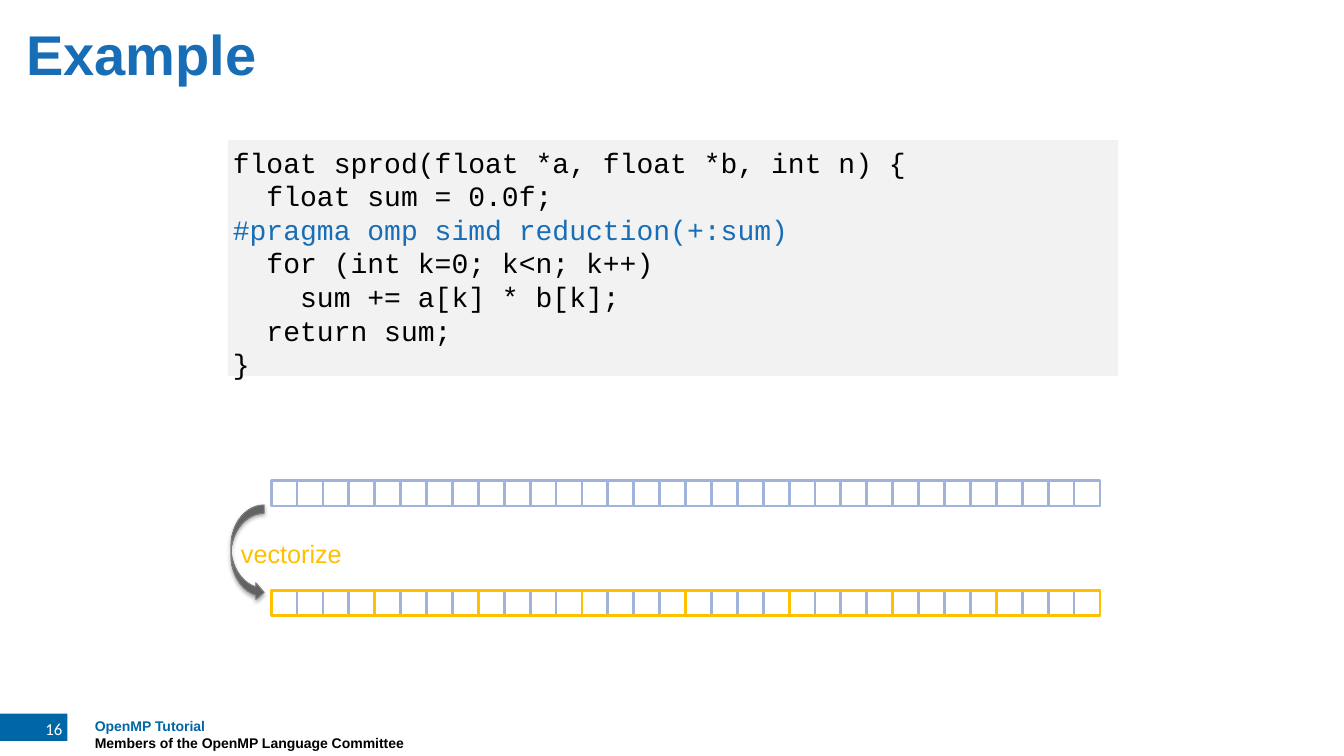
from lxml.etree import SubElement
from pptx import Presentation
from pptx.dml.color import RGBColor
from pptx.enum.shapes import MSO_SHAPE
from pptx.enum.text import MSO_ANCHOR, PP_ALIGN
from pptx.oxml.ns import qn
from pptx.util import Inches, Pt

WHITE = RGBColor(0xFF, 0xFF, 0xFF)
BLACK = RGBColor(0x00, 0x00, 0x00)
TITLE_BLUE = RGBColor(0x17, 0x6D, 0xB6)
FOOTER_BLUE = RGBColor(0x00, 0x67, 0xA6)
CODE_GRAY = RGBColor(0xF2, 0xF2, 0xF2)
CELL_BLUE = RGBColor(0xA1, 0xB3, 0xD9)
GOLD = RGBColor(0xFF, 0xC0, 0x00)
ARROW_DARK = RGBColor(0x5E, 0x5E, 0x5E)
ARROW_LIGHT = RGBColor(0x7C, 0x7C, 0x7C)
ARROW_LINE = RGBColor(0x7D, 0x7D, 0x7D)

CODE = [
    ("float sprod(float *a, float *b, int n) {", BLACK),
    ("  float sum = 0.0f;", BLACK),
    ("#pragma omp simd reduction(+:sum)", TITLE_BLUE),
    ("  for (int k=0; k<n; k++)", BLACK),
    ("    sum += a[k] * b[k];", BLACK),
    ("  return sum;", BLACK),
    ("}", BLACK),
]
FOOTER = [("OpenMP Tutorial", FOOTER_BLUE),
          ("Members of the OpenMP Language Committee", BLACK)]

ARRAY_LEFT, ARRAY_WIDTH, CELL_HEIGHT = 2.69, 8.22, 0.25
CELL_COUNT, VECTOR_COUNT = 32, 8
SCALAR_TOP, VECTOR_TOP = 4.77, 5.86


def write_lines(shape, lines, font_name, size, bold=False, inset=0.05,
                align=PP_ALIGN.LEFT, anchor=MSO_ANCHOR.TOP, wrap=True):
    """Fill a shape with one paragraph per (text, colour) pair."""
    frame = shape.text_frame
    frame.word_wrap = wrap
    frame.vertical_anchor = anchor
    frame.margin_left = frame.margin_right = Inches(inset)
    frame.margin_top = frame.margin_bottom = Inches(inset)
    for index, (text, color) in enumerate(lines):
        paragraph = frame.add_paragraph() if index else frame.paragraphs[0]
        paragraph.text = text
        paragraph.alignment = align
        paragraph.font.name = font_name
        paragraph.font.size = Pt(size)
        paragraph.font.bold = bold
        paragraph.font.color.rgb = color


def add_text(slide, left, top, width, height, lines, font_name, size, **options):
    box = slide.shapes.add_textbox(Inches(left), Inches(top),
                                   Inches(width), Inches(height))
    write_lines(box, lines, font_name, size, **options)
    return box


def add_rectangle(slide, left, top, width, height, fill=None, line=None):
    shape = slide.shapes.add_shape(MSO_SHAPE.RECTANGLE, Inches(left), Inches(top),
                                   Inches(width), Inches(height))
    shape.shadow.inherit = False
    if fill is None:
        shape.fill.background()
    else:
        shape.fill.solid()
        shape.fill.fore_color.rgb = fill
    if line is None:
        shape.line.fill.background()
    else:
        shape.line.color.rgb = line
        shape.line.width = Pt(2)
    return shape


def add_array(slide, top, count, fill, line):
    """Split the array width into equal outlined cells."""
    width = ARRAY_WIDTH / count
    for index in range(count):
        add_rectangle(slide, ARRAY_LEFT + index * width, top, width, CELL_HEIGHT,
                      fill, line)


def add_soft_shadow(shape):
    shape.shadow.inherit = False
    effects = shape.element.spPr.find(qn("a:effectLst"))
    shadow = SubElement(effects, qn("a:outerShdw"), blurRad=str(Pt(3)),
                        dist=str(Pt(1.8)), dir="5400000", rotWithShape="0")
    color = SubElement(shadow, qn("a:srgbClr"), val="000000")
    SubElement(color, qn("a:alpha"), val="35000")


def add_curved_arrow(slide, left, top, width, height):
    arrow = slide.shapes.add_shape(MSO_SHAPE.CURVED_RIGHT_ARROW, Inches(left),
                                   Inches(top), Inches(width), Inches(height))
    arrow.fill.gradient()
    arrow.fill.gradient_angle = 90
    dark, light = arrow.fill.gradient_stops
    dark.color.rgb, dark.position = ARROW_DARK, 0
    light.color.rgb, light.position = ARROW_LIGHT, 0.8
    arrow.line.color.rgb = ARROW_LINE
    arrow.line.width = Pt(0.75)
    add_soft_shadow(arrow)


def main():
    presentation = Presentation()
    presentation.slide_width = Inches(13.33)
    presentation.slide_height = Inches(7.5)
    slide = presentation.slides.add_slide(presentation.slide_layouts[6])

    # Footer and slide number
    add_text(slide, 0.94, 7.12, 3.08, 0.32, FOOTER, "Arial", 10,
             bold=True, inset=0, wrap=False)
    number = add_rectangle(slide, 0, 7.08, 0.67, 0.27, FOOTER_BLUE)
    write_lines(number, [("16", WHITE)], "Calibri", 12, align=PP_ALIGN.RIGHT)

    # Title
    title = add_text(slide, 0.26, 0.21, 10.5, 0.71, [("Example", TITLE_BLUE)],
                     "Arial", 40, bold=True, inset=0, anchor=MSO_ANCHOR.MIDDLE)
    title.text_frame.paragraphs[0].line_spacing = 0.9

    # Code listing
    code = add_rectangle(slide, 2.26, 1.39, 8.83, 2.34, CODE_GRAY)
    write_lines(code, CODE, "Courier New", 20)

    # Scalar array, turned into vectors of four cells
    add_array(slide, SCALAR_TOP, CELL_COUNT, WHITE, CELL_BLUE)
    add_curved_arrow(slide, 2.29, 5.01, 0.33, 0.95)
    add_text(slide, 2.34, 5.29, 1.11, 0.38, [("vectorize", GOLD)], "Arial", 18,
             wrap=False)
    add_array(slide, VECTOR_TOP, CELL_COUNT, WHITE, CELL_BLUE)
    add_array(slide, VECTOR_TOP, VECTOR_COUNT, None, GOLD)

    presentation.save("out.pptx")


if __name__ == "__main__":
    main()
